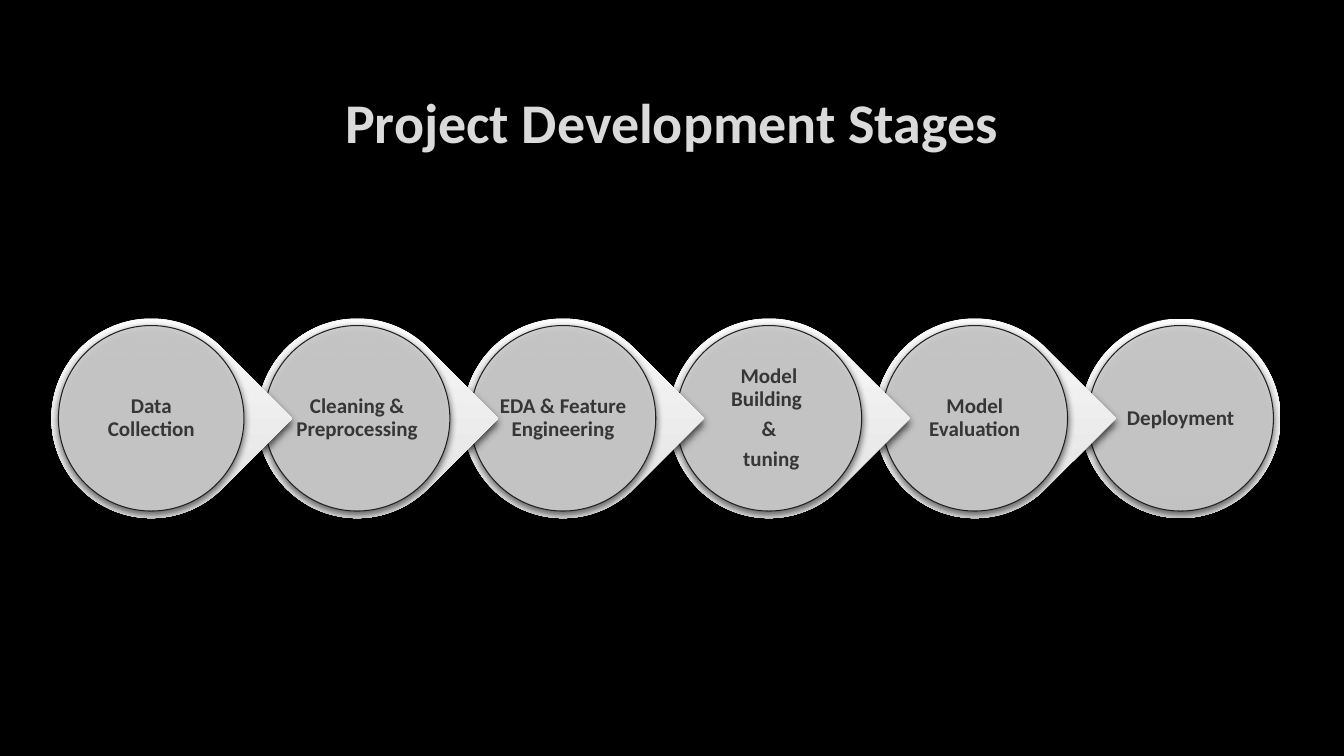
from dataclasses import dataclass

from lxml import etree
from pptx import Presentation
from pptx.dml.color import RGBColor
from pptx.enum.shapes import MSO_SHAPE
from pptx.enum.text import MSO_ANCHOR, PP_ALIGN
from pptx.oxml.ns import qn
from pptx.shapes.autoshape import Shape
from pptx.shapes.shapetree import GroupShapes
from pptx.text.text import TextFrame
from pptx.util import Inches, Pt

ELLIPSE, TEARDROP = MSO_SHAPE.OVAL, MSO_SHAPE.TEAR
MIDDLE, CENTER = MSO_ANCHOR.MIDDLE, PP_ALIGN.CENTER
FONT = "Calibri"
COLORS = {
    "background": "000000", "title": "DADADA", "label": "363636",
    "rim_top": "FFFFFF", "rim_bottom": "DBDBDB",
    "disc": "CDCDCD", "disc_line": "212123", "shadow": "000000",
}

FIRST_LEFT, LAST_LEFT, TOP = 0.51, 10.72, 3.16
RIM_SIZE, DISC_SIZE, LABEL_SIZE = 1.98, 1.84, 1.32


@dataclass(frozen=True)
class Stage:
    label: str
    rim: MSO_SHAPE = TEARDROP


@dataclass(frozen=True)
class Shadow:
    """Shadow falling straight down; opacity in percent, lengths in points."""
    opacity: int
    blur: int
    distance: int


STAGES = [
    Stage("Data Collection"),
    Stage("Cleaning & Preprocessing"),
    Stage("EDA & Feature Engineering"),
    Stage("Model Building \n&\n tuning"),
    Stage("Model Evaluation"),
    Stage("Deployment", ELLIPSE),
]
PITCH = (LAST_LEFT - FIRST_LEFT) / (len(STAGES) - 1)
RIM_SHADOW = Shadow(75, 6, 3)
DISC_SHADOW = Shadow(60, 5, 2)


def rgb(name: str) -> RGBColor:
    return RGBColor.from_string(COLORS[name])


def set_alpha(color: etree._Element, percent: int) -> None:
    etree.SubElement(color, qn("a:alpha"), val=str(percent * 1000))


def add_shadow(sp: Shape, shadow: Shadow) -> None:
    sp.shadow.inherit = False
    effects = sp._element.spPr.find(qn("a:effectLst"))
    outer = etree.SubElement(
        effects, qn("a:outerShdw"), blurRad=str(Pt(shadow.blur)),
        dist=str(Pt(shadow.distance)), dir="5400000", rotWithShape="0")
    color = etree.SubElement(outer, qn("a:srgbClr"), val=COLORS["shadow"])
    set_alpha(color, shadow.opacity)


def format_text(tf: TextFrame, size: float, color: str) -> None:
    tf.word_wrap = True
    tf.vertical_anchor = MIDDLE
    for p in tf.paragraphs:
        p.alignment = CENTER
        for r in p.runs:
            r.font.name = FONT
            r.font.size = Pt(size)
            r.font.bold = True
            r.font.color.rgb = rgb(color)


def centered_box(left: float, size: float) -> tuple[int, int, int, int]:
    """Square of the given size, centred in the rim that starts at left."""
    inset = (RIM_SIZE - size) / 2
    return (Inches(left + inset), Inches(TOP + inset),
            Inches(size), Inches(size))


def add_rim(shapes: GroupShapes, stage: Stage, left: float) -> None:
    sp = shapes.add_shape(stage.rim, *centered_box(left, RIM_SIZE))
    if stage.rim == TEARDROP:
        sp.rotation = 45
    sp.fill.gradient()
    sp.fill.gradient_angle = 270
    for stop, name, position in zip(
            sp.fill.gradient_stops, ("rim_top", "rim_bottom"), (0, 1)):
        stop.color.rgb = rgb(name)
        stop.position = position
    sp._element.spPr.find(qn("a:gradFill")).set("rotWithShape", "0")
    sp.line.fill.background()
    add_shadow(sp, RIM_SHADOW)


def add_disc(shapes: GroupShapes, left: float) -> None:
    sp = shapes.add_shape(ELLIPSE, *centered_box(left, DISC_SIZE))
    sp.fill.solid()
    sp.fill.fore_color.rgb = rgb("disc")
    set_alpha(sp._element.spPr.find(f"{qn('a:solidFill')}/{qn('a:srgbClr')}"), 90)
    sp.line.color.rgb = rgb("disc_line")
    sp.line.width = Pt(0.75)
    add_shadow(sp, DISC_SHADOW)


def add_label(shapes: GroupShapes, text: str, left: float) -> None:
    tf = shapes.add_textbox(*centered_box(left, LABEL_SIZE)).text_frame
    tf.text = text
    tf.margin_left = tf.margin_right = Inches(0.02)
    tf.margin_top = tf.margin_bottom = Inches(0.02)
    format_text(tf, 15, "label")
    for p in tf.paragraphs:
        p.line_spacing = 0.9
        p.space_after = Pt(5.5)


def main() -> None:
    prs = Presentation()
    prs.slide_width, prs.slide_height = Inches(13.33), Inches(7.5)
    s = prs.slides.add_slide(prs.slide_layouts[5])
    s.background.fill.solid()
    s.background.fill.fore_color.rgb = rgb("background")

    title = s.shapes.title
    title.left, title.top = Inches(1), Inches(0.67)
    title.width, title.height = Inches(11.32), Inches(1.06)
    title.text_frame.text = "Project Development Stages"
    format_text(title.text_frame, 40, "title")

    # Right to left, so that each tip overlaps the next stage.
    shapes = s.shapes.add_group_shape().shapes
    for i, stage in reversed(list(enumerate(STAGES))):
        left = FIRST_LEFT + i * PITCH
        add_rim(shapes, stage, left)
        add_disc(shapes, left)
        add_label(shapes, stage.label, left)

    prs.save("out.pptx")


if __name__ == "__main__":
    main()
